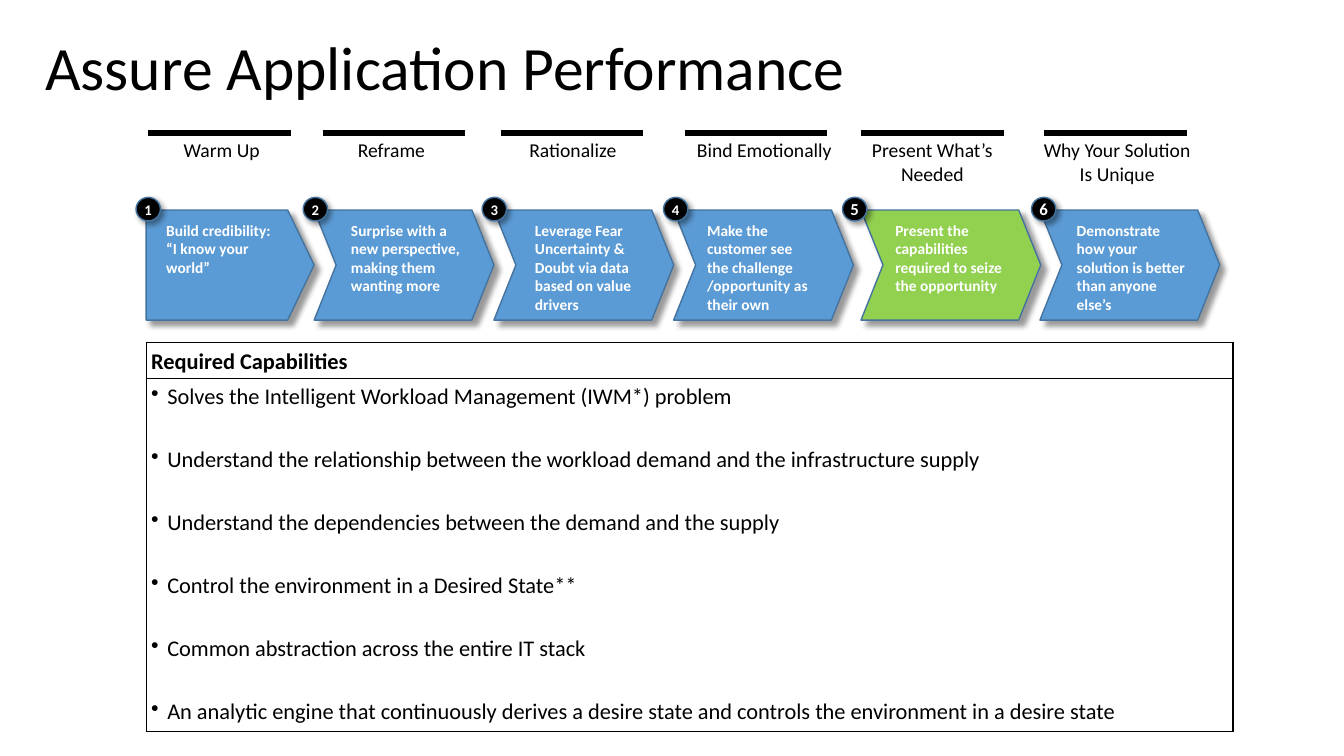
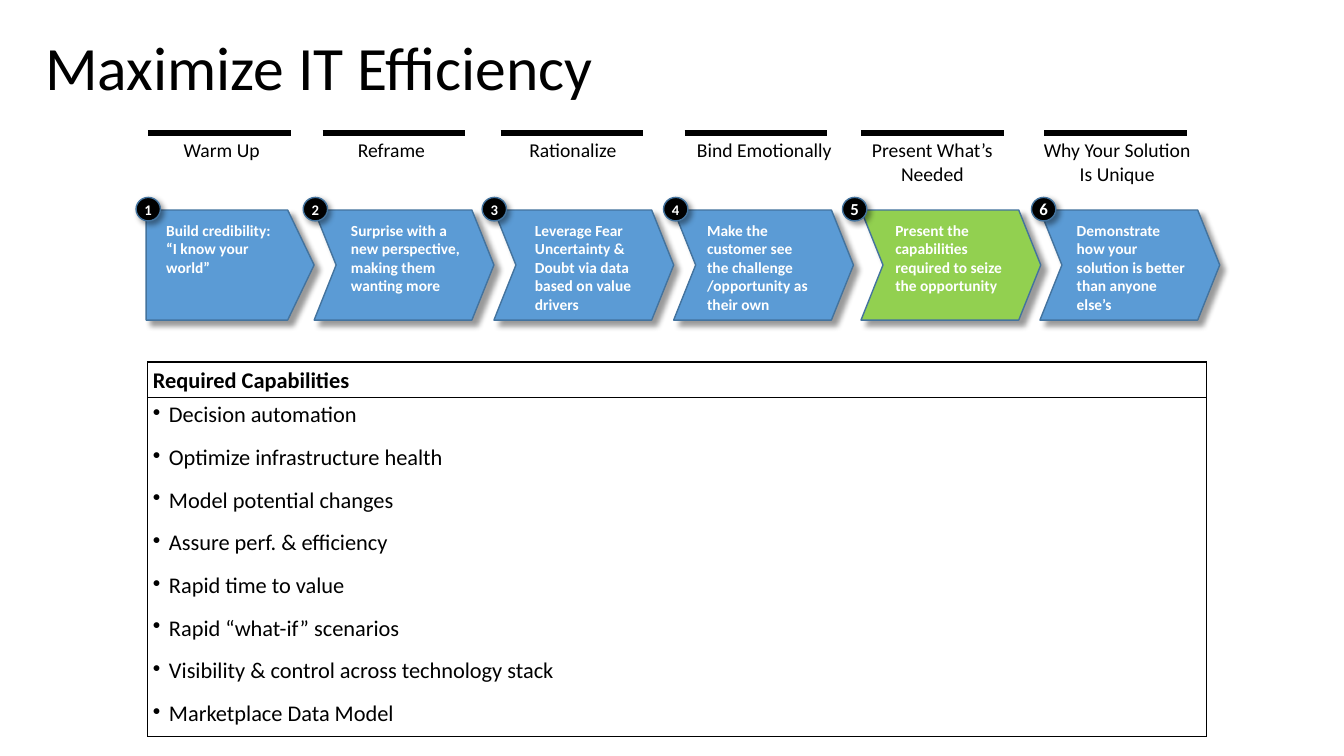
from typing import NamedTuple

from lxml.etree import SubElement
from pptx import Presentation
from pptx.dml.color import RGBColor
from pptx.enum.shapes import MSO_CONNECTOR, MSO_SHAPE as SHAPE
from pptx.enum.text import MSO_ANCHOR as ANCHOR, PP_ALIGN as ALIGN
from pptx.oxml.ns import qn
from pptx.util import Emu, Inches, Pt

COLS, ROWS = 160, 90  # square grid cells, twelve to the inch
BLACK, WHITE = "000000", "FFFFFF"
BLUE, GREEN, EDGE = "5B9BD5", "92D050", "43739E"


class Stage(NamedTuple):
    """One step of the pitch; positions are grid columns."""
    label: list
    message: list
    bar_x: float
    label_mid: float
    arrow_x: float
    badge_x: float
    message_x: float
    badge_size: float = 10.5
    fill: str = BLUE


STAGES = [
    Stage(["Warm Up"], ["Build credibility:", "“I know your world”"],
          17.6, 26.4, 17.4, 16.2, 18.6),
    Stage(["Reframe"],
          ["Surprise with a new perspective, making them wanting more"],
          38.4, 46.6, 37.4, 36.1, 40.6),
    Stage(["Rationalize"],
          ["Leverage Fear Uncertainty & Doubt via data based on value drivers"],
          59.6, 68.2, 58.8, 57.4, 62.5),
    Stage(["Bind Emotionally"],
          ["Make the customer see the challenge", "/opportunity as their own"],
          81.5, 91, 80.2, 79, 83),
    Stage(["Present What’s", "Needed"],
          ["Present the capabilities required to seize the opportunity"],
          102.5, 111, 102.5, 100.3, 105.4, 12, GREEN),
    Stage(["Why Your Solution", "Is Unique"],
          ["Demonstrate how your solution is better than anyone else’s"],
          124.3, 133, 123.8, 122.8, 127, 12),
]


def rgb(value):
    return RGBColor.from_string(value)


class Deck:
    """Holds the shared style and the slide being filled."""
    font = "Calibri"

    def __init__(self):
        self.prs = Presentation()
        self.prs.slide_width, self.prs.slide_height = Inches(13.33), Inches(7.5)
        self.s = None

    def x(self, cols):
        return Emu(round(self.prs.slide_width * cols / COLS))

    def y(self, rows):
        return Emu(round(self.prs.slide_height * rows / ROWS))

    def box(self, left, top, width, height):
        return self.x(left), self.y(top), self.x(width), self.y(height)

    def new_slide(self, title):
        self.s = self.prs.slides.add_slide(self.prs.slide_layouts[6])
        self.text((4.2, 1.7, 144.7, 13.3), [title], 44,
                  anchor=ANCHOR.MIDDLE, spacing=0.9)

    def add_lines(self, tf, lines, size, color=BLACK, bold=False,
                  align=ALIGN.LEFT, spacing=None, gap=0, bullet=False):
        for i, line in enumerate(lines):
            p = tf.add_paragraph() if i else tf.paragraphs[0]
            if bullet:
                pPr = p._p.get_or_add_pPr()
                pPr.set("marL", str(Inches(0.16)))
                pPr.set("indent", str(-Inches(0.16)))
                SubElement(pPr, qn("a:buChar")).set("char", "•")
            p.alignment = align
            p.line_spacing = spacing
            p.space_before = Pt(gap if i else 0)
            r = p.add_run()
            r.text = line
            r.font.name, r.font.size, r.font.bold = self.font, Pt(size), bold
            r.font.color.rgb = rgb(color)

    def text(self, at, lines, size, anchor=ANCHOR.TOP, **style):
        tf = self.s.shapes.add_textbox(*self.box(*at)).text_frame
        tf.word_wrap, tf.vertical_anchor = True, anchor
        self.add_lines(tf, lines, size, **style)

    def shape(self, kind, at, fill, distance, adjust=None):
        """Add an outlined shape whose shadow falls down to the right."""
        sp = self.s.shapes.add_shape(kind, *self.box(*at))
        if adjust is not None:
            sp.adjustments[0] = adjust
        sp.fill.solid()
        sp.fill.fore_color.rgb = rgb(fill)
        sp.line.color.rgb, sp.line.width = rgb(EDGE), Pt(1)
        sp.shadow.inherit = False
        effects = sp._element.spPr.find(qn("a:effectLst"))
        shadow = SubElement(effects, qn("a:outerShdw"), blurRad=str(Pt(4)),
                            dist=str(Pt(distance)), dir="2700000",
                            algn="tl", rotWithShape="0")
        color = SubElement(shadow, qn("a:srgbClr"), val=BLACK)
        SubElement(color, qn("a:alpha"), val="40000")
        return sp

    def badge(self, left, number, size):
        sp = self.shape(SHAPE.OVAL, (left, 23.5, 2.9, 2.8), BLACK, 3)
        tf = sp.text_frame
        tf.margin_left = tf.margin_right = tf.margin_top = tf.margin_bottom = 0
        tf.word_wrap, tf.vertical_anchor = False, ANCHOR.MIDDLE
        self.add_lines(tf, [str(number)], size, WHITE, True, ALIGN.CENTER)

    def bar(self, left, top, width):
        line = self.s.shapes.add_connector(
            MSO_CONNECTOR.STRAIGHT, self.x(left), self.y(top),
            self.x(left + width), self.y(top))
        line.line.color.rgb, line.line.width = rgb(BLACK), Pt(4.5)
        SubElement(line._element.spPr, qn("a:effectLst"))

    def stages(self):
        for number, st in enumerate(STAGES, 1):
            self.bar(st.bar_x, 15.85, 17)
            self.text((st.label_mid - 11, 15.85, 22, 3.4 * len(st.label) + 0.6),
                      st.label, 14, align=ALIGN.CENTER)
            if number == 1:
                kind, width, adjust = SHAPE.PENTAGON, 20, 0.24
            else:
                kind, width, adjust = SHAPE.CHEVRON, 21.4, 0.2
            self.shape(kind, (st.arrow_x, 25, width, 13.1), st.fill, 5, adjust)
            self.badge(st.badge_x, number, st.badge_size)
            self.text((st.message_x, 25.7, 15.4, 12.4), st.message, 11,
                      color=WHITE, bold=True)

    def cell(self, cell, lines, anchor, **style):
        cell.margin_left = cell.margin_right = Inches(0.05)
        cell.margin_top = cell.margin_bottom = 0
        cell.vertical_anchor = anchor
        tcPr = cell._tc.get_or_add_tcPr()
        for side in ("a:lnL", "a:lnR", "a:lnT", "a:lnB"):
            ln = SubElement(tcPr, qn(side), w=str(Pt(1)))
            SubElement(SubElement(ln, qn("a:solidFill")), qn("a:srgbClr"), val=BLACK)
        cell.fill.background()
        self.add_lines(cell.text_frame, lines, 16, **style)

    def capabilities(self, left, top, width, heights, items, gap):
        frame = self.s.shapes.add_table(
            2, 1, *self.box(left, top, width, sum(heights)))
        table = frame.table
        table.first_row = table.horz_banding = False
        for row, height in zip(table.rows, heights):
            row.height = self.y(height)
        self.cell(table.cell(0, 0), ["Required Capabilities"], ANCHOR.MIDDLE,
                  bold=True, spacing=1.07)
        self.cell(table.cell(1, 0), items, ANCHOR.TOP,
                  spacing=1.15, gap=gap, bullet=True)


def main():
    deck = Deck()
    deck.new_slide("Assure Application Performance")
    deck.stages()
    deck.capabilities(17.4, 40.8, 129.4, (4.3, 42), [
        "Solves the Intelligent Workload Management (IWM*) problem",
        "Understand the relationship between the workload demand and the infrastructure supply",
        "Understand the dependencies between the demand and the supply",
        "Control the environment in a Desired State**",
        "Common abstraction across the entire IT stack",
        "An analytic engine that continuously derives a desire state and controls "
        "the environment in a desire state",
    ], gap=22.5)

    deck.new_slide("Maximize IT Efficiency")
    deck.stages()
    deck.capabilities(17.6, 43.1, 126, (4.2, 40.4), [
        "Decision automation",
        "Optimize infrastructure health",
        "Model potential changes",
        "Assure perf. & efficiency",
        "Rapid time to value",
        "Rapid “what-if” scenarios",
        "Visibility & control across technology stack",
        "Marketplace Data Model",
    ], gap=8)
    deck.prs.save("out.pptx")


if __name__ == "__main__":
    main()
